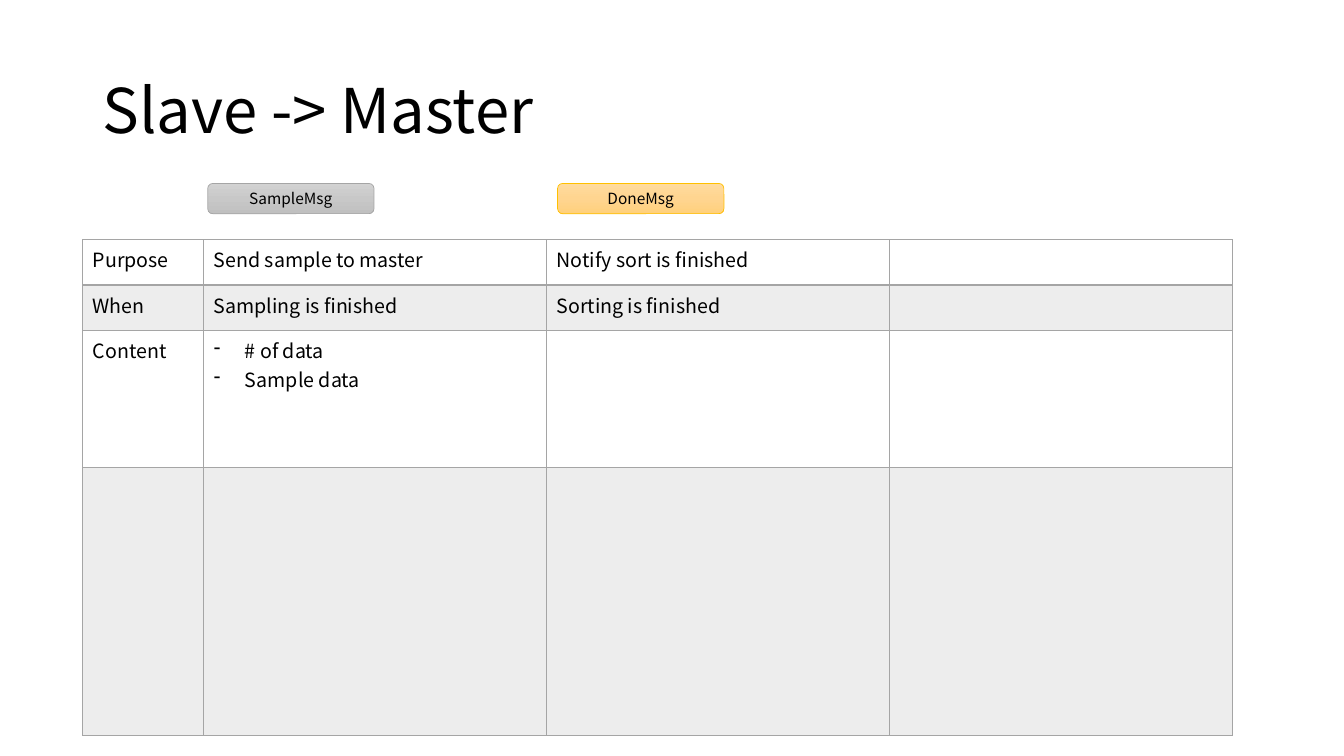
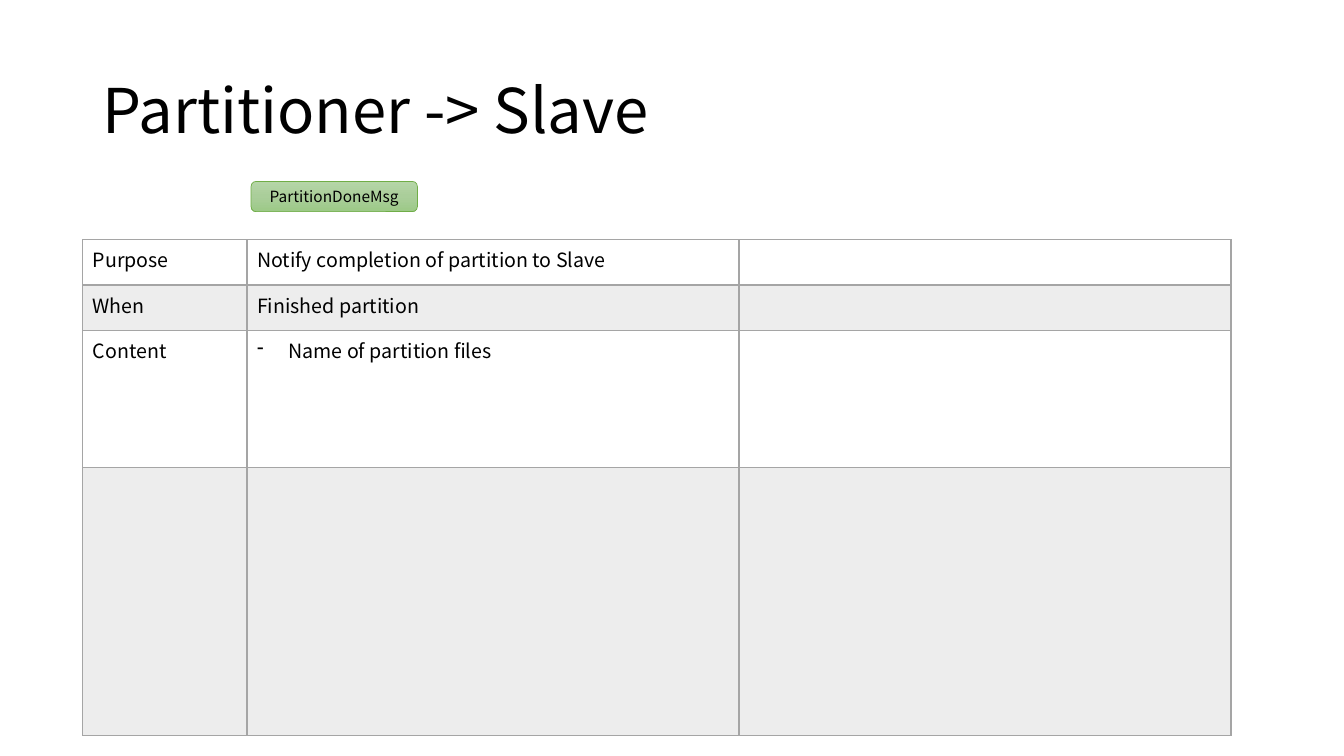
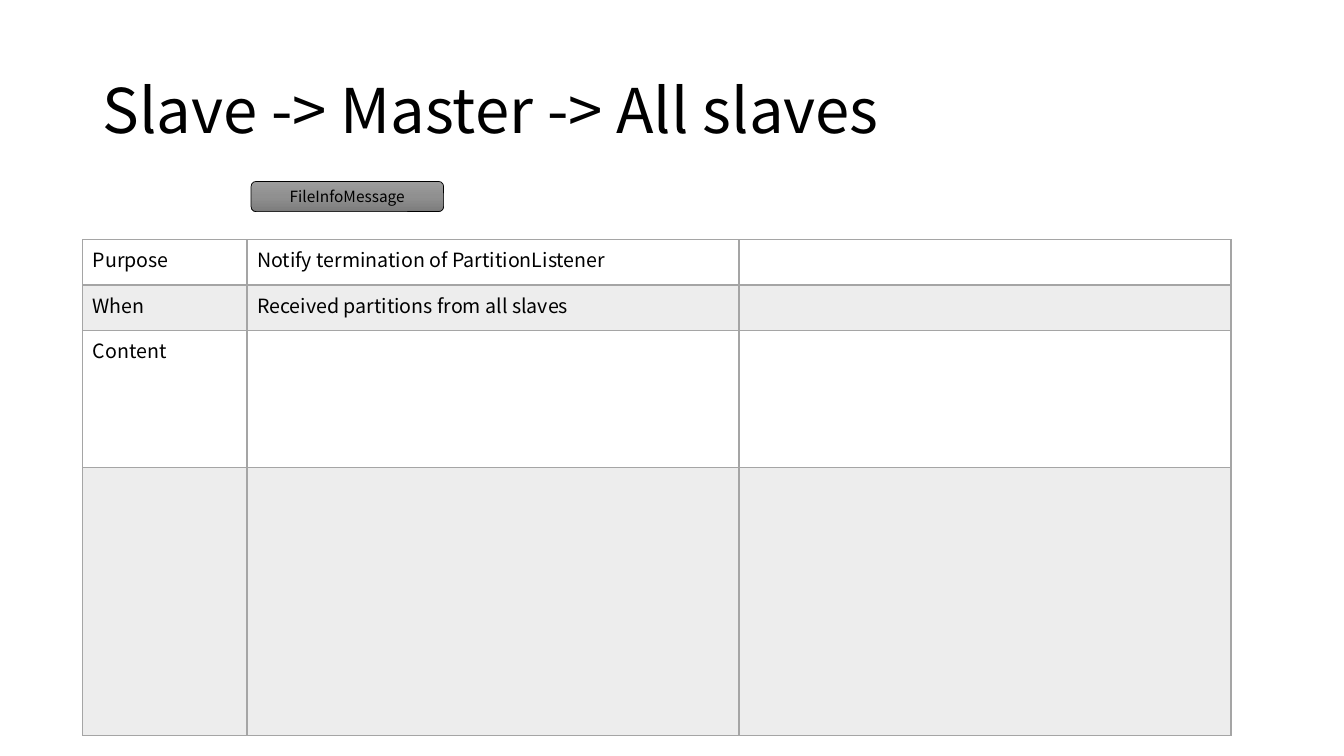
from copy import deepcopy
from dataclasses import dataclass

from lxml import etree
from pptx import Presentation
from pptx.dml.color import RGBColor
from pptx.enum.shapes import MSO_SHAPE
from pptx.enum.text import MSO_ANCHOR, PP_ALIGN
from pptx.oxml.ns import qn
from pptx.util import Inches, Pt

ROUNDED = MSO_SHAPE.ROUNDED_RECTANGLE
MIDDLE = MSO_ANCHOR.MIDDLE
LEFT, CENTER = PP_ALIGN.LEFT, PP_ALIGN.CENTER


@dataclass(frozen=True)
class Theme:
    font: str = "Noto Sans CJK KR"
    text: str = "000000"
    rule: str = "A5A5A5"
    band_alpha: int = 20
    title_size: int = 44
    cell_size: int = 14
    tag_size: int = 11
    # Tag styles: three gradient colours, then the outline
    gray: tuple = ("D2D2D2", "C8C8C8", "C0C0C0", "A5A5A5")
    gold: tuple = ("FFDB9E", "FFD590", "FFD07C", "FFC000")
    green: tuple = ("B5D5A7", "AACE9A", "9CC987", "70AD47")
    dark: tuple = ("9D9D9D", "909090", "7C7C7C", "000000")


THEME = Theme()
LABELS = ("Purpose", "When", "Content", "")
ROW_HEIGHTS = (0.45, 0.45, 1.36, 2.66)


class Deck:
    """Holds the style and the current slide."""

    def __init__(self, theme):
        self.theme = theme
        self.prs = Presentation()
        self.prs.slide_width, self.prs.slide_height = Inches(13.33), Inches(7.5)
        self.s = None

    def add_run(self, p, text, size):
        r = p.add_run()
        r.text = text
        r.font.name = self.theme.font
        r.font.size = Pt(size)
        r.font.color.rgb = RGBColor.from_string(self.theme.text)

    def slide(self, title):
        self.s = self.prs.slides.add_slide(self.prs.slide_layouts[6])
        tf = self.s.shapes.add_textbox(
            Inches(0.92), Inches(0.4), Inches(11.5), Inches(1.45)).text_frame
        tf.word_wrap = True
        tf.vertical_anchor = MIDDLE
        p = tf.paragraphs[0]
        p.alignment = LEFT
        p.line_spacing = 0.9
        self.add_run(p, title, self.theme.title_size)

    def tag(self, text, left, top, style, width=1.65):
        sp = self.s.shapes.add_shape(
            ROUNDED, Inches(left), Inches(top), Inches(width), Inches(0.3))
        sp.shadow.inherit = False
        *colors, outline = style
        # Vertical gradient with a third stop in the middle
        sp.fill.gradient()
        sp.fill.gradient_angle = 270
        stops = sp.element.spPr.find(".//" + qn("a:gsLst"))
        stops.insert(1, deepcopy(stops[0]))
        for stop, position, color in zip(sp.fill.gradient_stops, (0, 0.5, 1), colors):
            stop.position = position
            stop.color.rgb = RGBColor.from_string(color)
        sp.line.color.rgb = RGBColor.from_string(outline)
        sp.line.width = Pt(0.5)
        tf = sp.text_frame
        tf.word_wrap = True
        tf.vertical_anchor = MIDDLE
        p = tf.paragraphs[0]
        p.alignment = CENTER
        self.add_run(p, text, self.theme.tag_size)

    def table(self, widths, columns):
        table = self.s.shapes.add_table(
            len(ROW_HEIGHTS), len(widths), Inches(0.82), Inches(2.38),
            Inches(sum(widths)), Inches(sum(ROW_HEIGHTS))).table
        table.first_row = table.horz_banding = False
        for column, width in zip(table.columns, widths):
            column.width = Inches(width)
        for row, height in zip(table.rows, ROW_HEIGHTS):
            row.height = Inches(height)
        for j, texts in enumerate((LABELS, *columns)):
            for i, content in enumerate(texts):
                cell = table.cell(i, j)
                self.borders(cell, i)
                self.band(cell, i)
                self.cell_text(cell, content)

    def borders(self, cell, row):
        # The rule under the first row is twice as thick
        widths = {"L": 1, "R": 1, "T": 2 if row == 1 else 1, "B": 2 if row == 0 else 1}
        tcPr = cell._tc.get_or_add_tcPr()
        for side, width in widths.items():
            ln = etree.SubElement(tcPr, qn("a:ln" + side), w=str(Pt(width)))
            fill = etree.SubElement(ln, qn("a:solidFill"))
            etree.SubElement(fill, qn("a:srgbClr"), val=self.theme.rule)

    def band(self, cell, row):
        if row % 2 == 0:
            cell.fill.background()
            return
        cell.fill.solid()
        cell.fill.fore_color.rgb = RGBColor.from_string(self.theme.rule)
        color = cell._tc.tcPr.find(qn("a:solidFill"))[0]
        etree.SubElement(color, qn("a:alpha"), val=str(self.theme.band_alpha * 1000))

    def cell_text(self, cell, content):
        """A string is plain text, a list holds dashed items."""
        size = self.theme.cell_size
        tf = cell.text_frame
        dashed = isinstance(content, list)
        for n, text in enumerate(content if dashed else [content]):
            p = tf.add_paragraph() if n else tf.paragraphs[0]
            if dashed:
                indent = Inches(0.31)
                pPr = p._p.get_or_add_pPr()
                pPr.set("marL", str(indent))
                pPr.set("indent", str(-indent))
                etree.SubElement(pPr, qn("a:buFontTx"))
                etree.SubElement(pPr, qn("a:buChar"), char="-")
            if text:
                self.add_run(p, text, size)
            else:
                etree.SubElement(p._p, qn("a:endParaRPr"), sz=str(size * 100))


def main():
    deck = Deck(THEME)
    empty = ("",) * len(LABELS)
    two_columns = (1.63, 4.88, 4.88)

    # Slave to master
    deck.slide("Slave -> Master")
    deck.tag("SampleMsg", 2.06, 1.82, THEME.gray)
    deck.tag("DoneMsg", 5.53, 1.82, THEME.gold)
    deck.table((1.2, 3.4, 3.4, 3.4), (
        ("Send sample to master", "Sampling is finished", ["# of data", "Sample data"], ""),
        ("Notify sort is finished", "Sorting is finished", "", ""),
        empty))

    # Partitioner to slave
    deck.slide("Partitioner -> Slave")
    deck.tag("PartitionDoneMsg", 2.49, 1.8, THEME.green)
    deck.table(two_columns, (
        ("Notify completion of partition to Slave", "Finished partition",
         ["Name of partition files"], ""),
        empty))

    # Slave to all slaves
    deck.slide("Slave -> Master -> All slaves")
    deck.tag("FileInfoMessage", 2.49, 1.8, THEME.dark, width=1.91)
    deck.table(two_columns, (
        ("Notify termination of PartitionListener", "Received partitions from all slaves",
         "", ""),
        empty))

    deck.prs.save("out.pptx")


if __name__ == "__main__":
    main()
